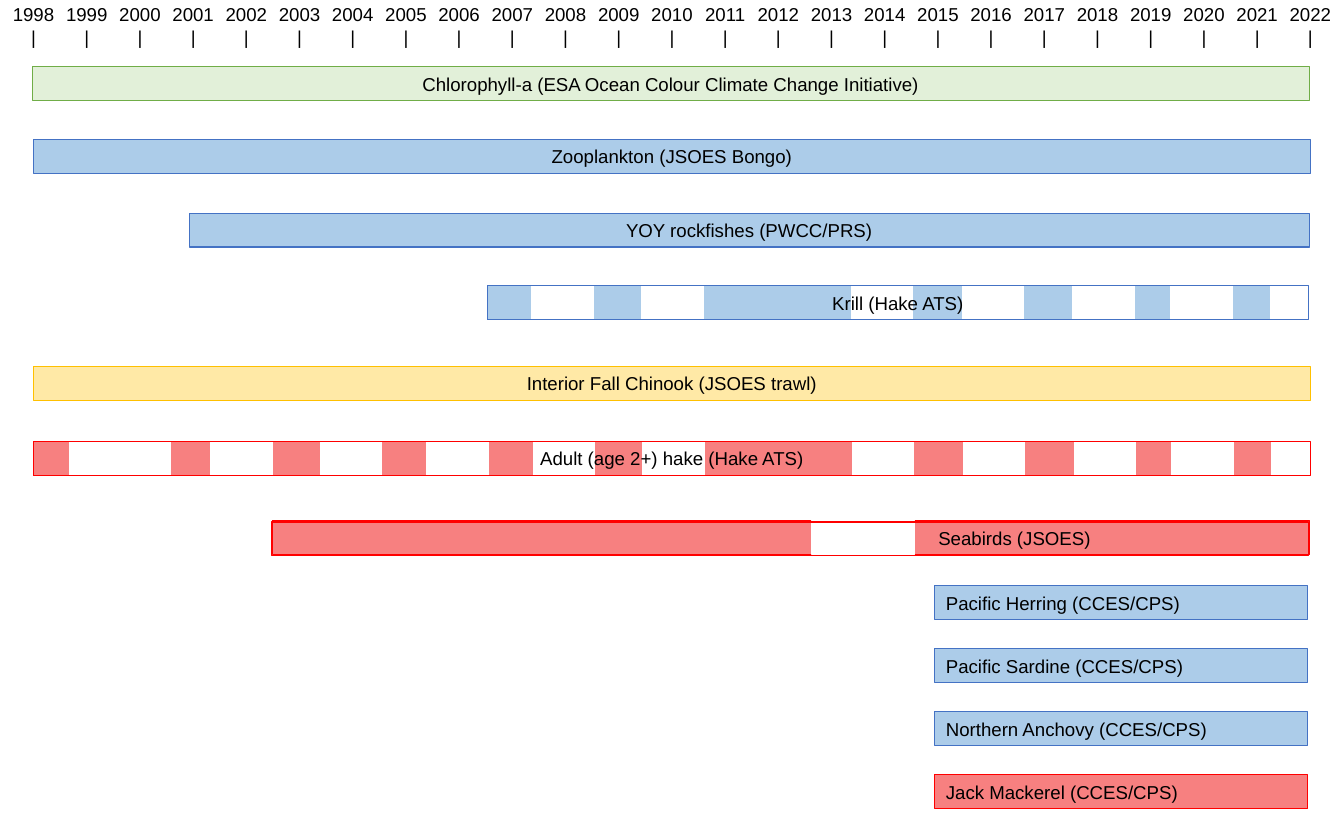
"""Build a timeline slide of survey data series from 1998 to 2022."""
import pptx
import pptx.dml.color
import pptx.enum.shapes
import pptx.enum.text
import pptx.oxml
import pptx.oxml.ns
import pptx.util

Pt = pptx.util.Pt
RGBColor = pptx.dml.color.RGBColor
MSO_SHAPE = pptx.enum.shapes.MSO_SHAPE
MSO_ANCHOR = pptx.enum.text.MSO_ANCHOR
PP_ALIGN = pptx.enum.text.PP_ALIGN

BLACK = RGBColor(0x00, 0x00, 0x00)
WHITE = RGBColor(0xFF, 0xFF, 0xFF)
PALE_GREEN = RGBColor(0xE2, 0xF0, 0xD9)
GREEN = RGBColor(0x70, 0xAD, 0x47)
LIGHT_BLUE = RGBColor(0x5B, 0x9B, 0xD5)
BLUE = RGBColor(0x44, 0x72, 0xC4)
GOLD = RGBColor(0xFF, 0xC0, 0x00)
DEEP_RED = RGBColor(0xF1, 0x03, 0x03)
RED = RGBColor(0xFF, 0x00, 0x00)

GREEN_STYLE = {"fill": PALE_GREEN, "line": GREEN, "opacity": 100}
BLUE_STYLE = {"fill": LIGHT_BLUE, "line": BLUE, "opacity": 50}
GOLD_STYLE = {"fill": GOLD, "line": GOLD, "opacity": 35}
RED_STYLE = {"fill": DEEP_RED, "line": RED, "opacity": 50}
GAP_STYLE = {"fill": WHITE, "line": WHITE, "opacity": 100}

FIRST_YEAR, LAST_YEAR = 1998, 2022
YEAR_STEP = 34.2
AXIS_LEFT = 21.6
AXIS_WIDTH = YEAR_STEP * (LAST_YEAR - FIRST_YEAR)
RECENT_LEFT, RECENT_WIDTH = 601, 239.8
SURVEY_GAPS = [(44.6, 64.8)] + [
    (left, 39.6)
    for left in (135.4, 205.9, 274.3, 342.7, 413.3, 547.9, 619.2, 690.5, 753.1, 817.2)
]


class Timeline:
    """Hold the text style and the slide on which the timeline is drawn."""

    font_format = {"name": "Arial", "size": Pt(12)}
    bar_height = 21.6
    label_width = 43.2

    def __init__(self, slide):
        self.slide = slide

    def set_text(self, shape, lines, alignment, frame_format):
        text_frame = shape.text_frame
        for name, value in {"word_wrap": True, **frame_format}.items():
            setattr(text_frame, name, value)
        text_frame.text = "\n".join(lines)
        for paragraph in text_frame.paragraphs:
            paragraph.alignment = alignment
            font = paragraph.runs[0].font
            for name, value in self.font_format.items():
                setattr(font, name, value)
            font.color.rgb = BLACK

    def year(self, year):
        left = AXIS_LEFT - self.label_width / 2 + YEAR_STEP * (year - FIRST_YEAR)
        box = self.slide.shapes.add_textbox(
            Pt(left), Pt(-1.4), Pt(self.label_width), Pt(self.bar_height)
        )
        self.set_text(box, [str(year), "|"], PP_ALIGN.CENTER, {})

    def bar(self, left, top, width, style, text="", filled=True,
            alignment=PP_ALIGN.CENTER, inset=7.2):
        shape = self.slide.shapes.add_shape(
            MSO_SHAPE.RECTANGLE, Pt(left), Pt(top), Pt(width), Pt(self.bar_height)
        )
        shape.shadow.inherit = False
        shape.line.color.rgb = style["line"]
        shape.line.width = Pt(0.75)
        if filled:
            shape.fill.solid()
            shape.fill.fore_color.rgb = style["fill"]
            self.set_opacity(shape, style["opacity"])
        else:
            shape.fill.background()
        if text:
            frame_format = {"margin_left": Pt(inset), "vertical_anchor": MSO_ANCHOR.MIDDLE}
            self.set_text(shape, [text], alignment, frame_format)

    def set_opacity(self, shape, percent):
        if percent < 100:
            fill = shape._element.spPr.find(pptx.oxml.ns.qn("a:solidFill"))
            alpha = pptx.oxml.parse_xml(
                f'<a:alpha {pptx.oxml.ns.nsdecls("a")} val="{percent * 1000}"/>'
            )
            fill[0].append(alpha)

    def interrupted_bar(self, left, top, width, style, text, gaps):
        self.bar(left, top, width, style)
        for gap_left, gap_width in gaps:
            self.bar(gap_left, top, gap_width, GAP_STYLE)
        self.bar(left, top, width, style, text, filled=False)


def main():
    presentation = pptx.Presentation()
    presentation.slide_width = Pt(864)
    presentation.slide_height = Pt(540)
    timeline = Timeline(presentation.slides.add_slide(presentation.slide_layouts[6]))

    for year in range(FIRST_YEAR, LAST_YEAR + 1):
        timeline.year(year)

    for left, top, width, style, text in (
        (20.9, 43, AXIS_WIDTH, GREEN_STYLE,
         "Chlorophyll-a (ESA Ocean Colour Climate Change Initiative)"),
        (AXIS_LEFT, 89.8, AXIS_WIDTH, BLUE_STYLE, "Zooplankton (JSOES Bongo)"),
        (121.7, 137.2, 720, BLUE_STYLE, "YOY rockfishes (PWCC/PRS)"),
        (AXIS_LEFT, 235.7, AXIS_WIDTH, GOLD_STYLE, "Interior Fall Chinook (JSOES trawl)"),
    ):
        timeline.bar(left, top, width, style, text)

    for row, (style, text) in enumerate((
        (BLUE_STYLE, "Pacific Herring (CCES/CPS)"),
        (BLUE_STYLE, "Pacific Sardine (CCES/CPS)"),
        (BLUE_STYLE, "Northern Anchovy (CCES/CPS)"),
        (RED_STYLE, "Jack Mackerel (CCES/CPS)"),
    )):
        timeline.bar(RECENT_LEFT, 376.6 + 40.5 * row, RECENT_WIDTH, style, text,
                     alignment=PP_ALIGN.LEFT)

    timeline.interrupted_bar(AXIS_LEFT, 283.9, AXIS_WIDTH, RED_STYLE,
                             "Adult (age 2+) hake (Hake ATS)", SURVEY_GAPS)
    krill_gaps = [(left - 0.7, width) for left, width in SURVEY_GAPS[4:]]
    timeline.interrupted_bar(313.2, 183.8, 528, BLUE_STYLE, "Krill (Hake ATS)", krill_gaps)

    timeline.bar(175.2, 334.8, 666.7, RED_STYLE, "Seabirds (JSOES)",
                 alignment=PP_ALIGN.LEFT, inset=428)
    timeline.bar(522, 334.8, 66.2, GAP_STYLE)
    timeline.bar(174.5, 335.6, 666.7, RED_STYLE, filled=False)

    presentation.save("out.pptx")


if __name__ == "__main__":
    main()
